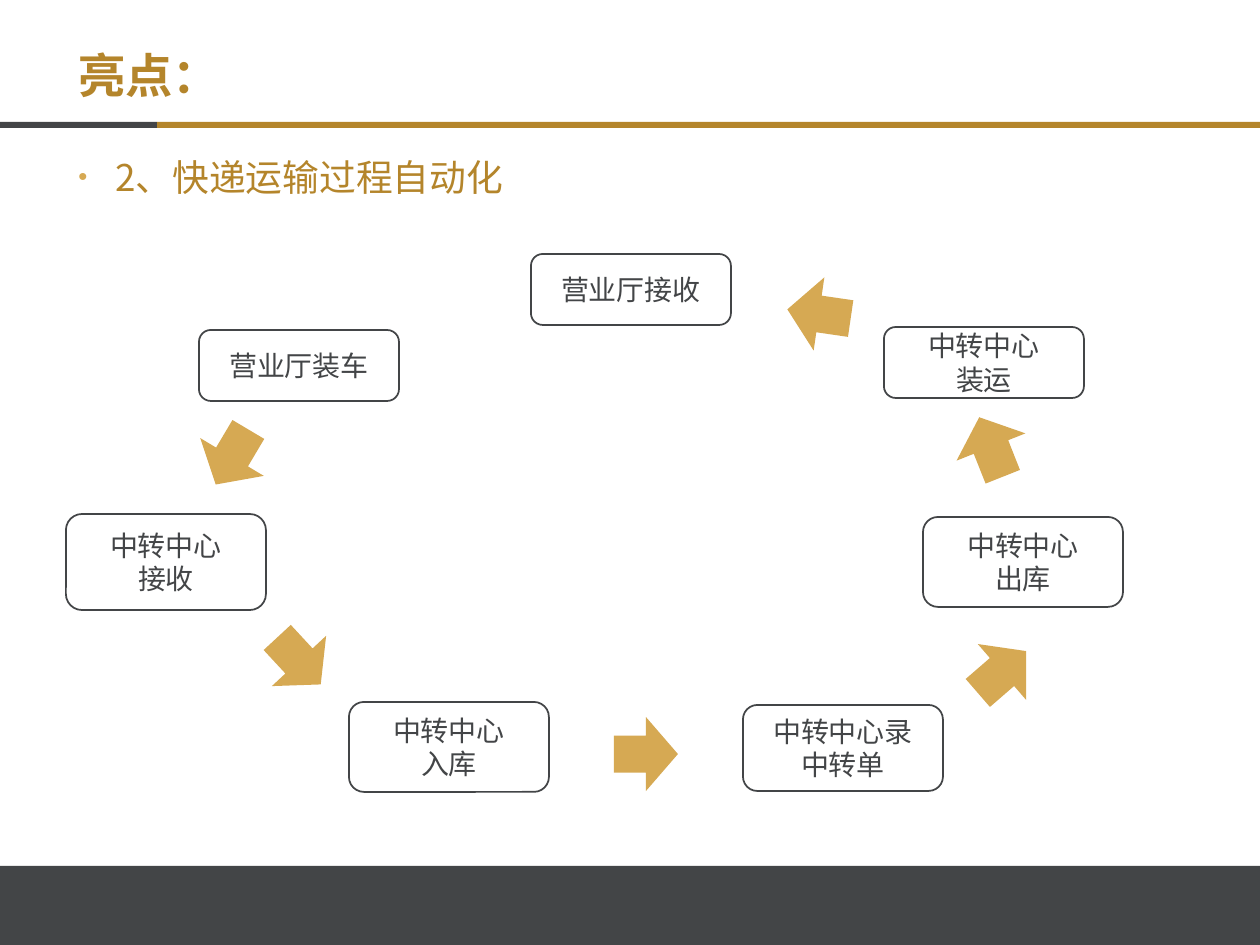
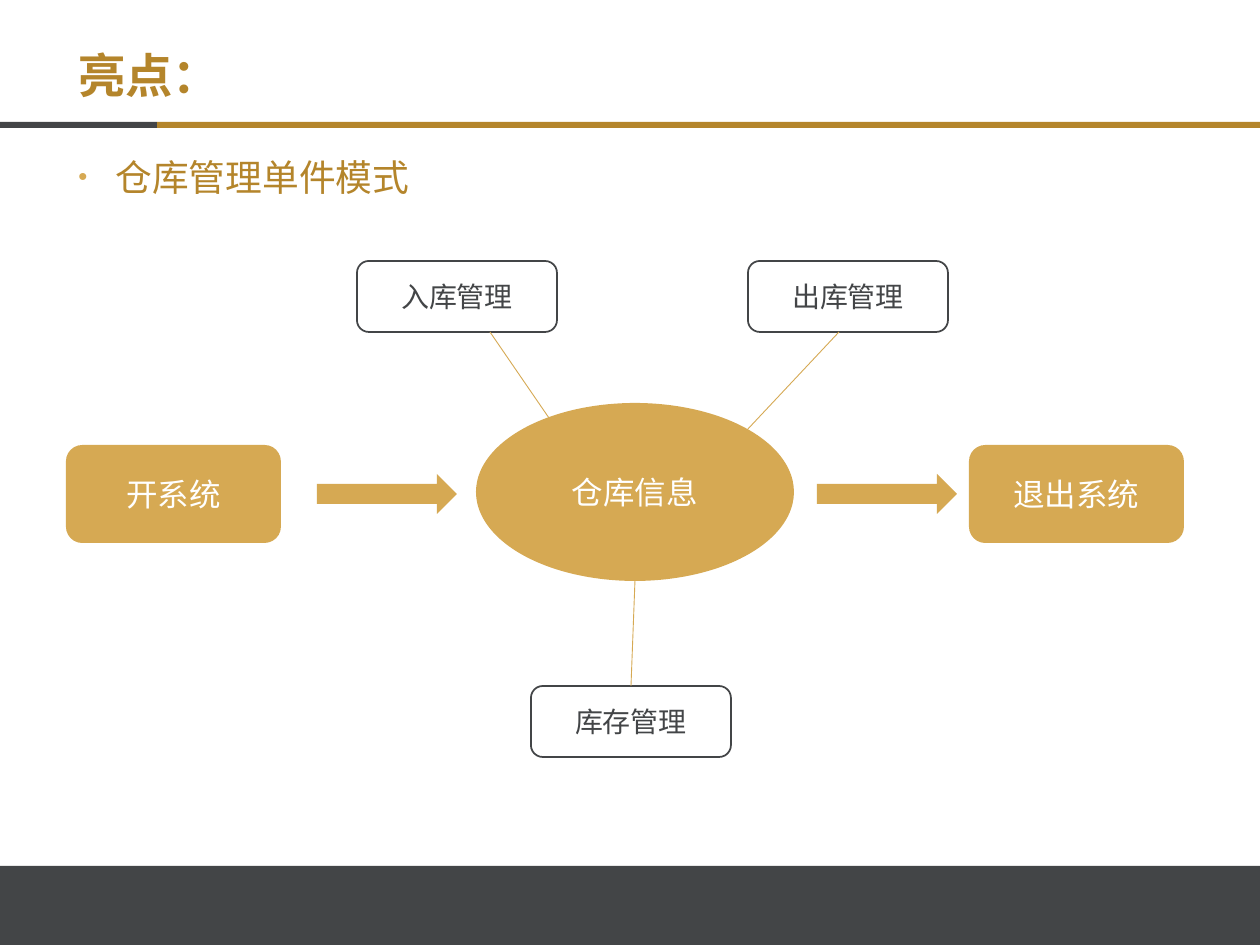
from lxml import etree
from pptx import Presentation
from pptx.dml.color import RGBColor
from pptx.enum.shapes import MSO_CONNECTOR, MSO_SHAPE
from pptx.enum.text import MSO_ANCHOR, PP_ALIGN
from pptx.oxml.ns import qn
from pptx.util import Emu, Pt

DARK = RGBColor(0x43, 0x45, 0x47)
GOLD = RGBColor(0xB4, 0x85, 0x2B)
LIGHT_GOLD = RGBColor(0xD6, 0xA9, 0x53)
WHITE = RGBColor(0xFF, 0xFF, 0xFF)

HEADING_FONT = "Noto Sans CJK SC"
LABEL_FONT = "Calibri"

RECTANGLE = MSO_SHAPE.RECTANGLE
ROUNDED = MSO_SHAPE.ROUNDED_RECTANGLE
OVAL = MSO_SHAPE.OVAL
DOWN_ARROW = MSO_SHAPE.DOWN_ARROW
RIGHT_ARROW = MSO_SHAPE.RIGHT_ARROW
STRAIGHT = MSO_CONNECTOR.STRAIGHT
TOP, MIDDLE, BOTTOM = MSO_ANCHOR.TOP, MSO_ANCHOR.MIDDLE, MSO_ANCHOR.BOTTOM
CENTER, JUSTIFY = PP_ALIGN.CENTER, PP_ALIGN.JUSTIFY

PX_PER_INCH = 126
SLIDE_WIDTH, SLIDE_HEIGHT = 1260, 945
STEP_WIDTH, STEP_HEIGHT = 200, 71
TURN_WIDTH, TURN_HEIGHT = 74, 64


def px(length):
    return Emu(round(length * 914400 / PX_PER_INCH))


def add_run(para, text, size, color, font, bold=False):
    span = para.add_run()
    span.text = text
    span.font.size = Pt(size)
    span.font.bold = bold
    span.font.name = font
    span.font.color.rgb = color
    east_asian = etree.SubElement(span.font._element, qn("a:ea"))
    east_asian.set("typeface", HEADING_FONT)


def add_filled(page, kind, left, top, width, height, fill, line=None):
    shape = page.shapes.add_shape(kind, px(left), px(top), px(width), px(height))
    shape.shadow.inherit = False
    shape.fill.solid()
    shape.fill.fore_color.rgb = fill
    if line is None:
        shape.line.fill.background()
    else:
        shape.line.color.rgb = line
        shape.line.width = Pt(1)
    return shape


def add_label(shape, lines, size, color):
    frame = shape.text_frame
    frame.word_wrap = True
    frame.vertical_anchor = MIDDLE
    for index, line in enumerate(lines):
        para = frame.add_paragraph() if index else frame.paragraphs[0]
        para.alignment = CENTER
        add_run(para, line, size, color, LABEL_FONT)


def add_step(page, left, top, *lines, height=STEP_HEIGHT):
    box = add_filled(page, ROUNDED, left, top, STEP_WIDTH, height, WHITE, DARK)
    add_label(box, lines, 16, DARK)


def add_stage(page, kind, left, top, width, height, text):
    stage = add_filled(page, kind, left, top, width, height, LIGHT_GOLD)
    add_label(stage, [text], 18, WHITE)


def add_turned_arrow(page, center_x, center_y, rotation):
    arrow = add_filled(page, DOWN_ARROW, center_x - TURN_WIDTH / 2,
                       center_y - TURN_HEIGHT / 2, TURN_WIDTH, TURN_HEIGHT, LIGHT_GOLD)
    arrow.rotation = rotation


def add_link(page, start, end):
    link = page.shapes.add_connector(STRAIGHT, *map(px, start + end))
    link.line.color.rgb = LIGHT_GOLD
    link.line.width = Pt(0.5)
    etree.SubElement(link._element.spPr, qn("a:effectLst"))


def add_text_box(page, top, height, anchor):
    box = page.shapes.add_textbox(px(66), px(top), px(1131), px(height))
    frame = box.text_frame
    frame.word_wrap = True
    frame.vertical_anchor = anchor
    return frame.paragraphs[0]


def add_bullet(para):
    properties = para._p.get_or_add_pPr()
    properties.set("marL", str(px(37)))
    properties.set("indent", str(-px(37)))
    color = etree.SubElement(properties, qn("a:buClr"))
    etree.SubElement(color, qn("a:srgbClr")).set("val", str(LIGHT_GOLD))
    etree.SubElement(properties, qn("a:buSzPct")).set("val", "70000")
    etree.SubElement(properties, qn("a:buFont")).set("typeface", "Arial")
    etree.SubElement(properties, qn("a:buChar")).set("char", "•")


def add_page(deck, topic):
    page = deck.slides.add_slide(deck.slide_layouts[6])
    # Footer band and two-coloured title rule
    add_filled(page, RECTANGLE, 0, 866, SLIDE_WIDTH, 79, DARK)
    add_filled(page, RECTANGLE, 0, 122, 157, 6, DARK)
    add_filled(page, RECTANGLE, 157, 122, SLIDE_WIDTH - 157, 6, GOLD)
    # Title
    title = add_text_box(page, 23, 87, BOTTOM)
    title.line_spacing = 0.9
    add_run(title, "亮点：", 27, GOLD, HEADING_FONT, bold=True)
    # Topic line
    para = add_text_box(page, 144, 697, TOP)
    para.alignment = JUSTIFY
    para.line_spacing = 1.1
    para.space_before = Pt(4.5)
    add_bullet(para)
    add_run(para, topic, 21, GOLD, HEADING_FONT)
    return page


def build_transport_page(deck):
    page = add_page(deck, "2、快递运输过程自动化")
    # Steps, in order of transport
    add_step(page, 199, 330, "营业厅装车")
    add_step(page, 66, 514, "中转中心", "接收", height=96)
    add_step(page, 349, 702, "中转中心", "入库", height=90)
    add_step(page, 743, 705, "中转中心录中转单", height=86)
    add_step(page, 923, 517, "中转中心", "出库", height=90)
    add_step(page, 884, 327, "中转中心", "装运")
    add_step(page, 531, 254, "营业厅接收")
    # Arrows between the steps: centre and rotation
    for center_x, center_y, rotation in (
            (232, 457, 30.7), (299, 661, 317.2), (646, 754, 270),
            (1002, 672, 229.1), (991, 447, 158.4), (819, 314, 98.3)):
        add_turned_arrow(page, center_x, center_y, rotation)


def build_warehouse_page(deck):
    page = add_page(deck, "仓库管理单件模式")
    # Management tasks
    add_step(page, 748, 261, "出库管理")
    add_step(page, 357, 261, "入库管理")
    add_step(page, 531, 686, "库存管理")
    # Main flow
    add_stage(page, OVAL, 476, 403, 318, 178, "仓库信息")
    for left, text in ((66, "开系统"), (969, "退出系统")):
        add_stage(page, ROUNDED, left, 445, 215, 98, text)
    for left in (317, 817):
        add_filled(page, RIGHT_ARROW, left, 474, 140, 40, LIGHT_GOLD)
    # Links from the tasks to the warehouse information
    add_link(page, (490, 332), (549, 418))
    add_link(page, (839, 332), (747, 430))
    add_link(page, (635, 581), (631, 686))


def main():
    deck = Presentation()
    deck.slide_width, deck.slide_height = px(SLIDE_WIDTH), px(SLIDE_HEIGHT)
    build_transport_page(deck)
    build_warehouse_page(deck)
    deck.save("out.pptx")


if __name__ == "__main__":
    main()
